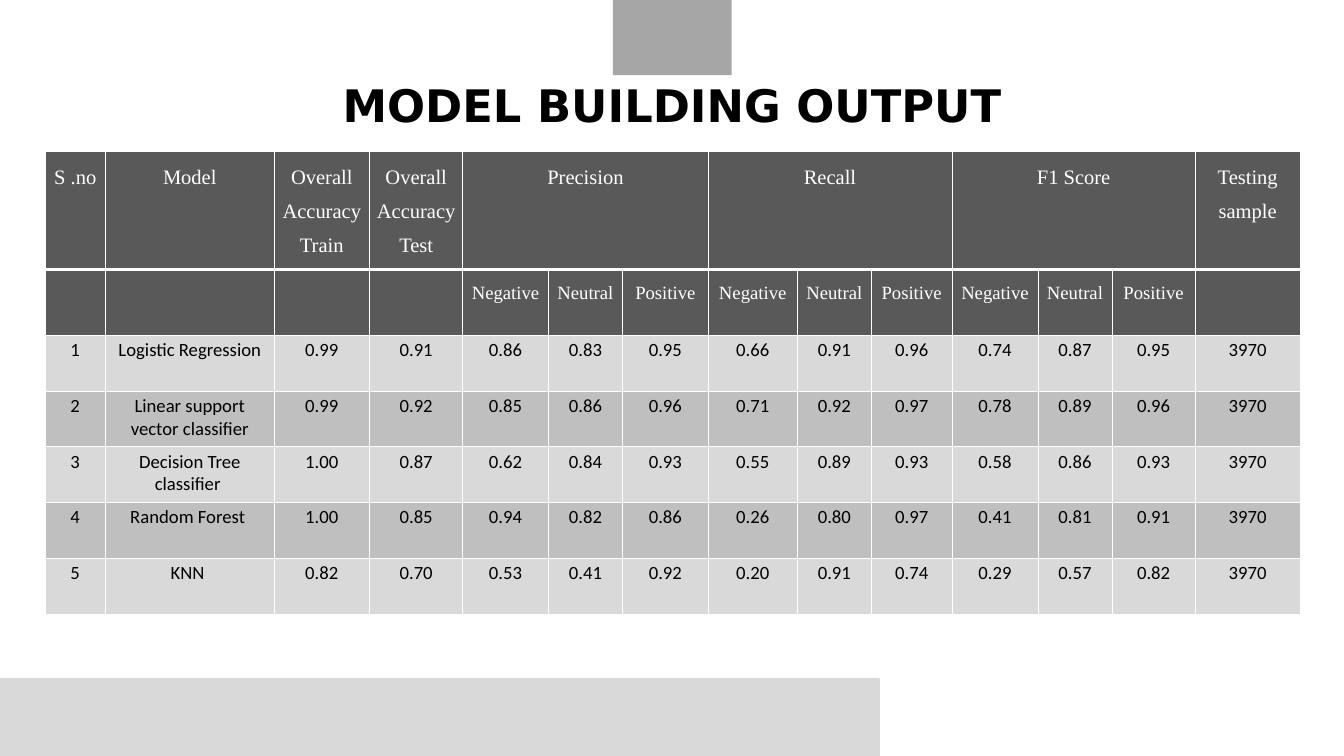
"""Build the model building output slide with its table of scores."""
import pptx
import pptx.dml.color
import pptx.enum.shapes
import pptx.enum.text
import pptx.oxml
import pptx.oxml.ns
import pptx.util

Pt = pptx.util.Pt
RGBColor = pptx.dml.color.RGBColor
BLACK = RGBColor(0x00, 0x00, 0x00)
WHITE = RGBColor(0xFF, 0xFF, 0xFF)
HEADER = RGBColor(0x59, 0x59, 0x59)
TAB = RGBColor(0xA6, 0xA6, 0xA6)
LIGHT = RGBColor(0xD9, 0xD9, 0xD9)
MID = RGBColor(0xBF, 0xBF, 0xBF)


def put_text(tf, text, font="Calibri", size=20, color=BLACK, bold=False, spacing=1.0):
    p = tf.paragraphs[0]
    p.alignment = pptx.enum.text.PP_ALIGN.CENTER
    p.line_spacing = spacing
    r = p.add_run()
    r.text = text
    r.font.name = font
    r.font.size = Pt(size)
    r.font.bold = bold
    r.font.color.rgb = color


def set_borders(cell, top, bottom):
    tcPr = cell._tc.get_or_add_tcPr()
    for side, width in (("L", 1), ("R", 1), ("T", top), ("B", bottom)):
        tcPr.append(pptx.oxml.parse_xml(
            f'<a:ln{side} {pptx.oxml.ns.nsdecls("a")} w="{Pt(width)}">'
            f'<a:solidFill><a:srgbClr val="{WHITE}"/></a:solidFill></a:ln{side}>'))


prs = pptx.Presentation()
prs.slide_width = Pt(1440)
prs.slide_height = Pt(810)
s = prs.slides.add_slide(prs.slide_layouts[6])

for left, top, width, height, color, line in (
    (656.6, 0, 127.4, 80.6, TAB, 0),
    (0, 727.2, 941.8, 82.8, LIGHT, 2),
):
    sp = s.shapes.add_shape(pptx.enum.shapes.MSO_SHAPE.RECTANGLE,
                            Pt(left), Pt(top), Pt(width), Pt(height))
    sp.shadow.inherit = False
    sp.fill.solid()
    sp.fill.fore_color.rgb = color
    if line:
        sp.line.color.rgb = color
        sp.line.width = Pt(line)
    else:
        sp.line.fill.background()

title = s.shapes.add_textbox(Pt(188.6), Pt(82.8), Pt(1062.8), Pt(59))
tf = title.text_frame
tf.word_wrap = True
tf.margin_left = tf.margin_right = tf.margin_bottom = 0
tf.margin_top = Pt(0.7)
put_text(tf, "MODEL BUILDING OUTPUT", font="DejaVu Sans", size=48, bold=True)

widths = [64.8, 180.7, 102.2, 100.1, 91.4, 79.9, 91.4,
          95.8, 79.2, 86.4, 92.2, 79.2, 89.3, 112.3]
heights = [88.6, 70.6] + [59.8] * 5
rows = [
    ["S .no", "Model", "Overall Accuracy Train", "Overall Accuracy Test",
     "Precision", "", "", "Recall", "", "", "F1 Score", "", "", "Testing sample"],
    [""] * 4 + ["Negative", "Neutral", "Positive"] * 3 + [""],
]
models = [
    ("Logistic Regression", "0.99 0.91 0.86 0.83 0.95 0.66 0.91 0.96 0.74 0.87 0.95"),
    ("Linear support vector classifier", "0.99 0.92 0.85 0.86 0.96 0.71 0.92 0.97 0.78 0.89 0.96"),
    ("Decision Tree classifier ", "1.00 0.87 0.62 0.84 0.93 0.55 0.89 0.93 0.58 0.86 0.93"),
    ("Random Forest ", "1.00 0.85 0.94 0.82 0.86 0.26 0.80 0.97 0.41 0.81 0.91"),
    ("KNN ", "0.82 0.70 0.53 0.41 0.92 0.20 0.91 0.74 0.29 0.57 0.82"),
]
for number, (model, scores) in enumerate(models, 1):
    rows.append([str(number), model, *scores.split(), "3970"])

table = s.shapes.add_table(len(rows), len(widths), Pt(48.2), Pt(162.7),
                           Pt(sum(widths)), Pt(sum(heights))).table
for column, width in zip(table.columns, widths):
    column.width = Pt(width)
for row, height in zip(table.rows, heights):
    row.height = Pt(height)
for first in (4, 7, 10):
    table.cell(0, first).merge(table.cell(0, first + 2))

for i, row in enumerate(rows):
    for j, text in enumerate(row):
        cell = table.cell(i, j)
        set_borders(cell, top=3 if i == 1 else 1, bottom=3 if i == 0 else 1)
        cell.fill.solid()
        cell.fill.fore_color.rgb = HEADER if i < 2 else (LIGHT, MID)[i % 2]
        if text and i < 2:
            put_text(cell.text_frame, text, font="Times New Roman",
                     size=(22, 20)[i], color=WHITE, spacing=1.5)
        elif text:
            put_text(cell.text_frame, text)

prs.save("out.pptx")
